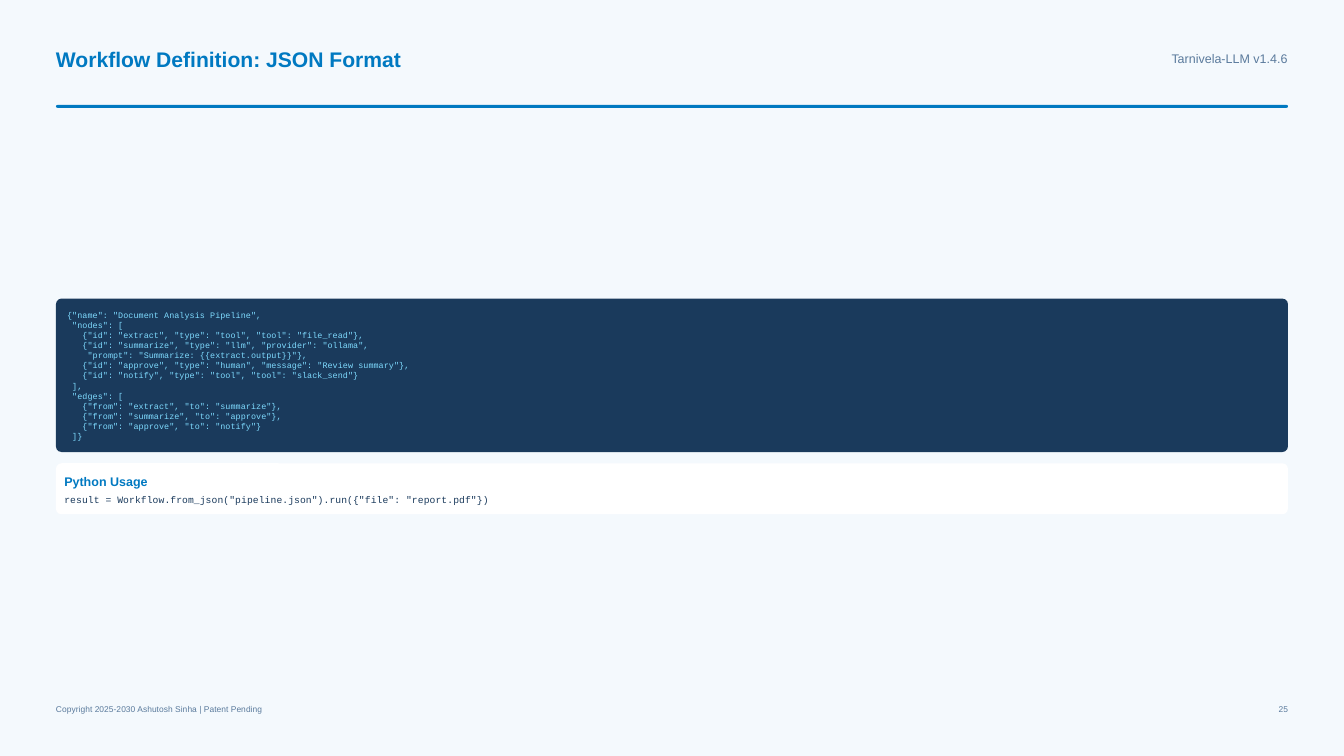
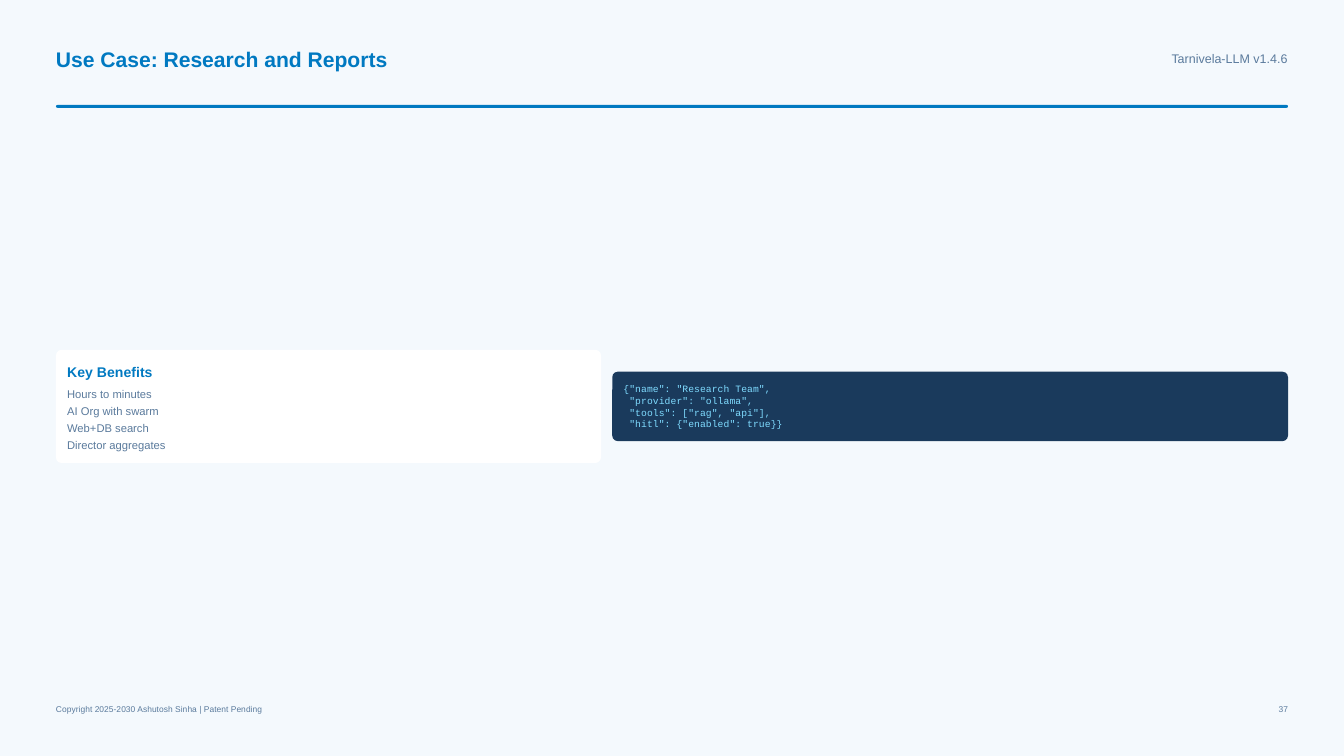
from pptx import Presentation
from pptx.dml.color import RGBColor
from pptx.enum.shapes import MSO_SHAPE
from pptx.enum.text import PP_ALIGN
from pptx.util import Pt

ROUND = MSO_SHAPE.ROUNDED_RECTANGLE
LEFT, RIGHT = PP_ALIGN.LEFT, PP_ALIGN.RIGHT

COLORS = {
    "background": "F4F9FD",
    "accent": "0079C1",
    "muted": "5A7A9C",
    "navy": "1A3A5C",
    "code": "7FDBFF",
    "white": "FFFFFF",
}
SANS, MONO = "Arial", "Courier New"

# Text styles: font, size, colour, bold, line height, space before
STYLES = {
    "title": (SANS, 11.25, "accent", True, 15.75, 0),
    "tag": (SANS, 6.75, "muted", False, 9.45, 0),
    "footer": (SANS, 4.5, "muted", False, 6.3, 0),
    "small code": (MONO, 4.5, "code", False, 5.4, 0),
    "code": (MONO, 5.25, "code", False, 6.3, 0),
    "usage heading": (SANS, 6.75, "accent", True, 9.45, 0),
    "usage": (MONO, 5.25, "navy", False, 7.35, 1.5),
    "benefits heading": (SANS, 7.5, "accent", True, 10.5, 0),
    "first benefit": (SANS, 6, "muted", False, 8.4, 2.25),
    "benefit": (SANS, 6, "muted", False, 8.4, 0.75),
}

TAG = "Tarnivela-LLM v1.4.6"
COPYRIGHT = "Copyright 2025-2030 Ashutosh Sinha | Patent Pending"

WORKFLOW_JSON = """\
{"name": "Document Analysis Pipeline",
 "nodes": [
   {"id": "extract", "type": "tool", "tool": "file_read"},
   {"id": "summarize", "type": "llm", "provider": "ollama",
    "prompt": "Summarize: {{extract.output}}"},
   {"id": "approve", "type": "human", "message": "Review summary"},
   {"id": "notify", "type": "tool", "tool": "slack_send"}
 ],
 "edges": [
   {"from": "extract", "to": "summarize"},
   {"from": "summarize", "to": "approve"},
   {"from": "approve", "to": "notify"}
 ]}"""
USAGE = [
    ("Python Usage", "usage heading"),
    ('result = Workflow.from_json("pipeline.json").run({"file": "report.pdf"})', "usage"),
]
BENEFITS = [
    ("Key Benefits", "benefits heading"),
    ("Hours to minutes", "first benefit"),
    ("AI Org with swarm", "benefit"),
    ("Web+DB search", "benefit"),
    ("Director aggregates", "benefit"),
]
TEAM_JSON = """\
{"name": "Research Team",
 "provider": "ollama",
 "tools": ["rag", "api"],
 "hitl": {"enabled": true}}"""

SLIDE_W, SLIDE_H = 720, 405
MARGIN = 30
CONTENT_W = SLIDE_W - 2 * MARGIN
MIDDLE_Y = 217.75
GAP = 6
PAD, USAGE_PAD = 6, 4.5
RADIUS = 3
BENEFITS_W = 292


def rgb(name):
    return RGBColor.from_string(COLORS[name])


def code_lines(code, style):
    return [(line, style) for line in code.split("\n")]


def text_height(lines):
    return sum(STYLES[style][4] + STYLES[style][5] for _, style in lines)


def add_text(slide, x, y, w, lines, align=LEFT):
    box = slide.shapes.add_textbox(Pt(x), Pt(y), Pt(w), Pt(text_height(lines)))
    tf = box.text_frame
    tf.word_wrap = True
    tf.margin_left = tf.margin_top = tf.margin_right = tf.margin_bottom = 0
    for i, (text, style) in enumerate(lines):
        font, size, color, bold, line_height, before = STYLES[style]
        p = tf.add_paragraph() if i else tf.paragraphs[0]
        p.text = text
        p.alignment = align
        p.line_spacing = Pt(line_height)
        if before:
            p.space_before = Pt(before)
        p.font.name, p.font.size, p.font.bold = font, Pt(size), bold
        p.font.color.rgb = rgb(color)


def add_round_rect(slide, x, y, w, h, fill, radius=RADIUS):
    sp = slide.shapes.add_shape(ROUND, Pt(x), Pt(y), Pt(w), Pt(h))
    sp.adjustments[0] = min(radius / h, 0.5)
    sp.shadow.inherit = False
    sp.fill.solid()
    sp.fill.fore_color.rgb = rgb(fill)
    sp.line.fill.background()


def card_height(lines, pad):
    return text_height(lines) + 2 * pad


def add_card(slide, x, y, w, lines, fill, pad=PAD):
    add_round_rect(slide, x, y, w, card_height(lines, pad), fill)
    add_text(slide, x + pad, y + pad, w - 2 * pad, lines)


def add_slide(prs, title, number):
    """Add a slide with the shared title, tag, rule and footer."""
    slide = prs.slides.add_slide(prs.slide_layouts[6])
    slide.background.fill.solid()
    slide.background.fill.fore_color.rgb = rgb("background")
    right = MARGIN + CONTENT_W
    add_text(slide, MARGIN, 22.5, 300, [(title, "title")])
    add_text(slide, right - 66, 26, 66, [(TAG, "tag")], RIGHT)
    add_round_rect(slide, MARGIN, 56.25, CONTENT_W, 1.5, "accent")
    add_text(slide, MARGIN, 376.5, 120, [(COPYRIGHT, "footer")])
    add_text(slide, right - 10, 376.5, 10, [(str(number), "footer")], RIGHT)
    return slide


def add_workflow_slide(prs):
    slide = add_slide(prs, "Workflow Definition: JSON Format", 25)
    code = code_lines(WORKFLOW_JSON, "small code")
    code_h = card_height(code, PAD)
    y = MIDDLE_Y - (code_h + GAP + card_height(USAGE, USAGE_PAD)) / 2
    add_card(slide, MARGIN, y, CONTENT_W, code, "navy")
    add_card(slide, MARGIN, y + code_h + GAP, CONTENT_W, USAGE, "white", USAGE_PAD)


def add_research_slide(prs):
    slide = add_slide(prs, "Use Case: Research and Reports", 37)
    columns = [
        (BENEFITS, BENEFITS_W, "white"),
        (code_lines(TEAM_JSON, "code"), CONTENT_W - GAP - BENEFITS_W, "navy"),
    ]
    x = MARGIN
    for lines, w, fill in columns:
        add_card(slide, x, MIDDLE_Y - card_height(lines, PAD) / 2, w, lines, fill)
        x += w + GAP


def main():
    prs = Presentation()
    prs.slide_width, prs.slide_height = Pt(SLIDE_W), Pt(SLIDE_H)
    add_workflow_slide(prs)
    add_research_slide(prs)
    prs.save("out.pptx")


if __name__ == "__main__":
    main()
